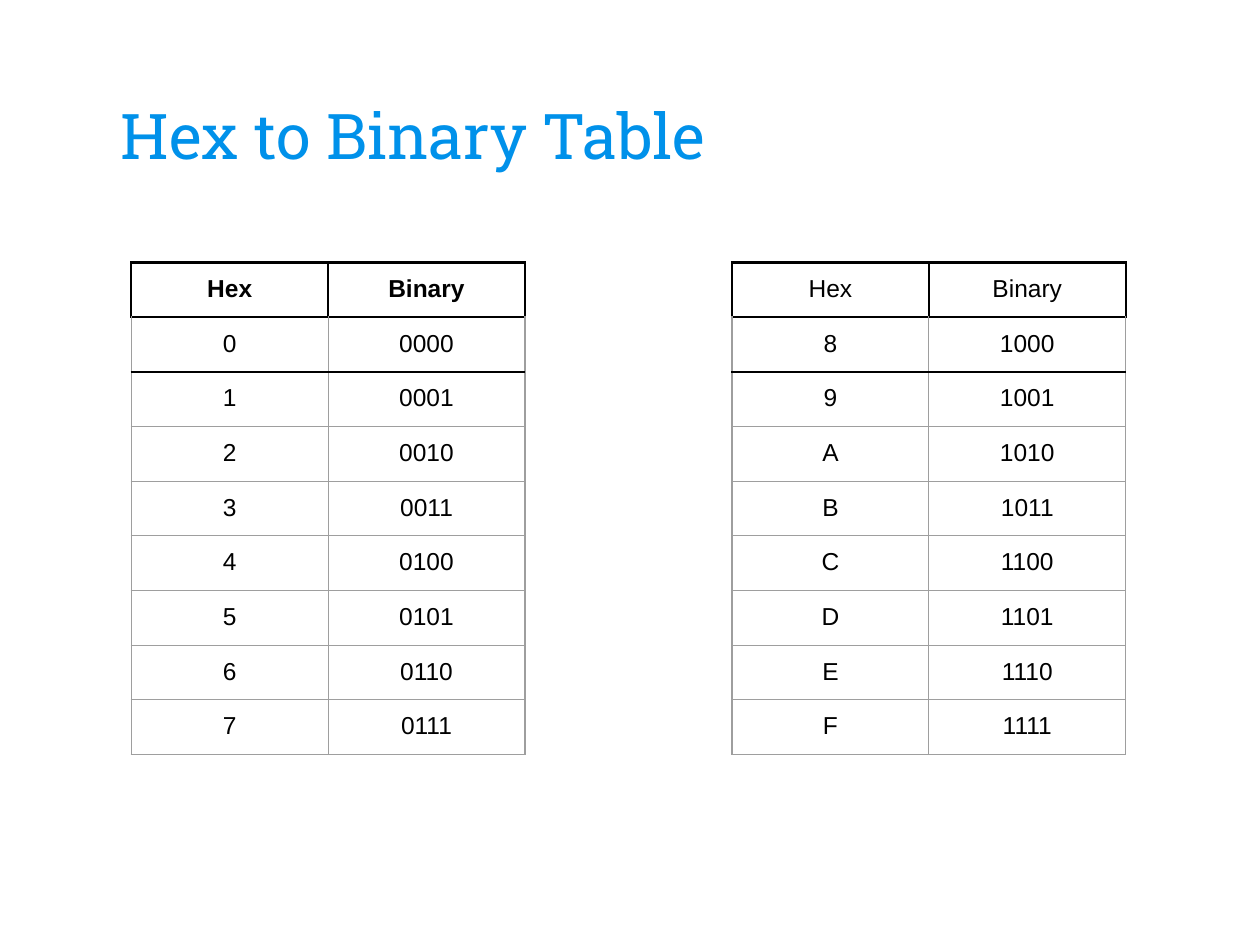
import pptx
import pptx.util
import pptx.dml.color
import pptx.enum.text
import pptx.oxml.ns
from lxml import etree

Pt = pptx.util.Pt
RGBColor = pptx.dml.color.RGBColor

BLUE = RGBColor(0x00, 0x91, 0xEA)
BLACK = RGBColor(0x00, 0x00, 0x00)
GRAY = RGBColor(0x9E, 0x9E, 0x9E)


class SlideBuilder:
    title_font, body_font = "Roboto Slab", "Arial"
    title_size, body_size = Pt(36), Pt(14)
    inset = Pt(7.2)
    column_width, row_height = Pt(112.5), Pt(30.1)
    strong, light = (BLACK, Pt(1.5)), (GRAY, Pt(0.75))

    def __init__(self, slide):
        self.slide = slide

    def set_font(self, paragraph, name, size, color, bold=False):
        font = paragraph.font
        font.name, font.size, font.bold = name, size, bold
        font.color.rgb = color

    def set_insets(self, holder):
        holder.margin_left = holder.margin_right = self.inset
        holder.margin_top = holder.margin_bottom = self.inset

    def title(self, text, left, top, width, height):
        frame = self.slide.shapes.add_textbox(left, top, width, height).text_frame
        frame.word_wrap = True
        frame.vertical_anchor = pptx.enum.text.MSO_ANCHOR.BOTTOM
        self.set_insets(frame)
        frame.text = text
        self.set_font(frame.paragraphs[0], self.title_font, self.title_size, BLUE)

    def border(self, cell, side, color, width):
        qn = pptx.oxml.ns.qn
        properties = cell._tc.get_or_add_tcPr()
        line = etree.SubElement(properties, qn(f"a:ln{side}"), w=str(int(width)))
        fill = etree.SubElement(line, qn("a:solidFill"))
        etree.SubElement(fill, qn("a:srgbClr"), val=str(color))

    def cell(self, cell, text, bold, edges):
        cell.text = text
        self.set_insets(cell)
        paragraph = cell.text_frame.paragraphs[0]
        paragraph.alignment = pptx.enum.text.PP_ALIGN.CENTER
        self.set_font(paragraph, self.body_font, self.body_size, BLACK, bold)
        for side, edge in edges.items():
            self.border(cell, side, *edge)
        cell.fill.background()

    def table(self, rows, left, top, bold_header):
        columns = len(rows[0])
        table = self.slide.shapes.add_table(
            len(rows), columns, left, top,
            self.column_width * columns, self.row_height * len(rows)).table
        table.first_row = bold_header
        table.horz_banding = False
        for column in table.columns:
            column.width = self.column_width
        for index, values in enumerate(rows):
            table.rows[index].height = self.row_height
            # Strong lines box the header and close the first data row
            sides = self.strong if index == 0 else self.light
            above = self.strong if index <= 2 else self.light
            below = self.strong if index <= 1 else self.light
            edges = {"L": sides, "R": sides, "T": above, "B": below}
            for position, value in enumerate(values):
                self.cell(table.cell(index, position), value,
                          bold_header and index == 0, edges)


def hex_rows(numbers):
    return [("Hex", "Binary")] + [(f"{n:X}", f"{n:04b}") for n in numbers]


def main():
    presentation = pptx.Presentation()
    presentation.slide_width, presentation.slide_height = Pt(720), Pt(540)
    builder = SlideBuilder(
        presentation.slides.add_slide(presentation.slide_layouts[6]))

    # Heading
    builder.title("Hex to Binary Table", Pt(62), Pt(32.4), Pt(596), Pt(73.4))

    # Lower and upper half of the hex digits
    table_top = Pt(150)
    builder.table(hex_rows(range(8)), Pt(75), table_top, bold_header=True)
    builder.table(hex_rows(range(8, 16)), Pt(418.3), table_top, bold_header=False)

    presentation.save("out.pptx")


if __name__ == "__main__":
    main()
